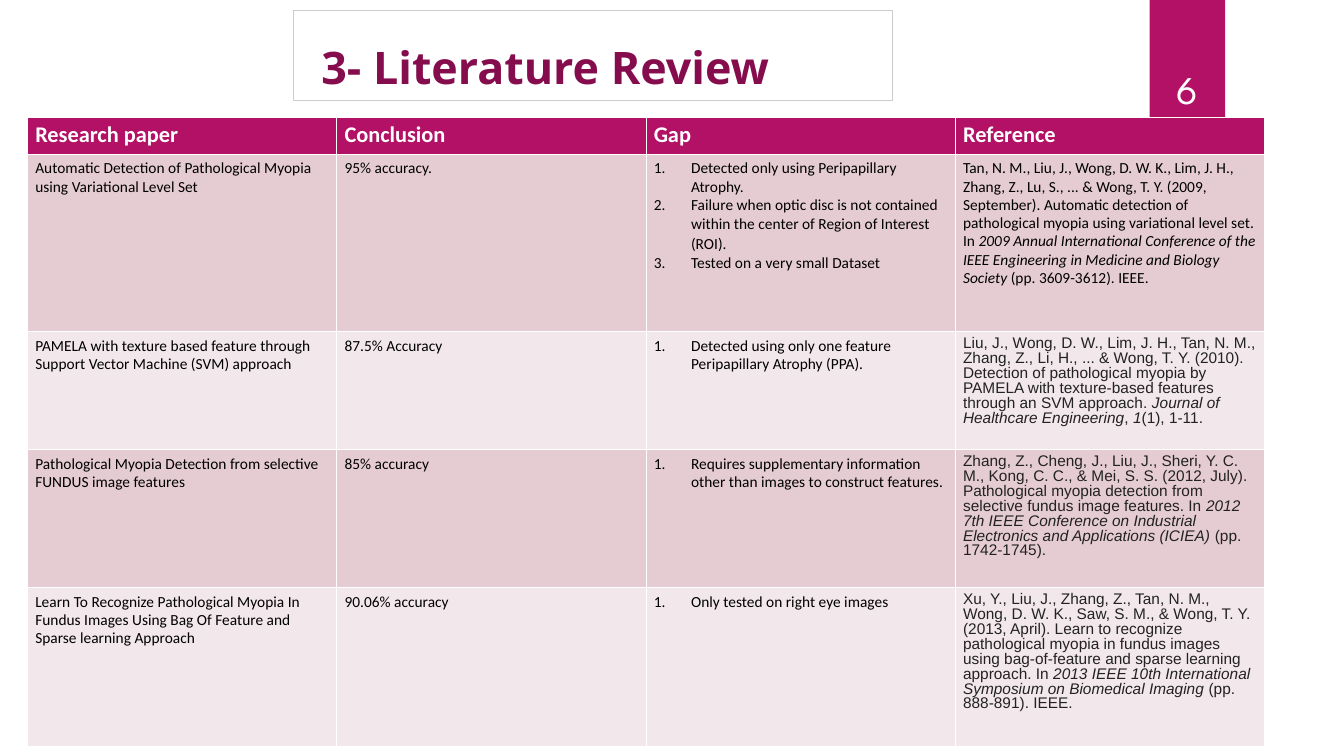
from lxml.etree import SubElement
from pptx import Presentation
from pptx.dml.color import RGBColor
from pptx.enum.shapes import MSO_SHAPE as Shape
from pptx.enum.text import MSO_ANCHOR as Anchor, MSO_AUTO_SIZE as AutoSize, PP_ALIGN as Align
from pptx.oxml.ns import qn
from pptx.util import Inches, Pt

TITLE = "3- Literature Review"
SLIDE_NUMBER = "6"
HEADINGS = ["Research paper", "Conclusion", "Gap", "Reference"]
STUDIES = [
    {
        "paper": ["Automatic Detection of Pathological Myopia using Variational Level Set"],
        "conclusion": "95% accuracy.",
        "gaps": [
            "Detected only using Peripapillary Atrophy.",
            "Failure when optic disc is not contained within the center of Region of Interest (ROI).",
            "Tested on a very small Dataset",
        ],
        "reference": [
            "Tan, N. M., Liu, J., Wong, D. W. K., Lim, J. H., Zhang, Z., Lu, S., ... & Wong, T. Y. "
            "(2009, September). Automatic detection of pathological myopia using variational level set. In ",
            "2009 Annual International Conference of the IEEE Engineering in Medicine and Biology Society",
            " (pp. 3609-3612). IEEE.",
        ],
    },
    {
        "paper": ["PAMELA with texture based feature through", "Support Vector Machine (SVM) approach"],
        "conclusion": "87.5% Accuracy",
        "gaps": ["Detected using only one feature Peripapillary Atrophy (PPA)."],
        "reference": [
            "Liu, J., Wong, D. W., Lim, J. H., Tan, N. M., Zhang, Z., Li, H., ... & Wong, T. Y. (2010). "
            "Detection of pathological myopia by PAMELA with texture-based features through an SVM approach. ",
            "Journal of Healthcare Engineering",
            ", ",
            "1",
            "(1), 1-11.",
        ],
    },
    {
        "paper": ["Pathological Myopia Detection from selective FUNDUS image features"],
        "conclusion": "85% accuracy",
        "gaps": ["Requires supplementary information other than images to construct features."],
        "reference": [
            "Zhang, Z., Cheng, J., Liu, J., Sheri, Y. C. M., Kong, C. C., & Mei, S. S. (2012, July). "
            "Pathological myopia detection from selective fundus image features. In ",
            "2012 7th IEEE Conference on Industrial Electronics and Applications (ICIEA)",
            " (pp. 1742-1745).",
        ],
    },
    {
        "paper": ["Learn To Recognize Pathological Myopia In Fundus Images Using Bag Of Feature "
                  "and Sparse learning Approach"],
        "conclusion": "90.06% accuracy",
        "gaps": ["Only tested on right eye images"],
        "reference": [
            "Xu, Y., Liu, J., Zhang, Z., Tan, N. M., Wong, D. W. K., Saw, S. M., & Wong, T. Y. (2013, April). "
            "Learn to recognize pathological myopia in fundus images using bag-of-feature and sparse "
            "learning approach. In ",
            "2013 IEEE 10th International Symposium on Biomedical Imaging",
            " (pp. 888-891). IEEE.",
        ],
    },
]
ROW_HEIGHTS = [0.37, 1.76, 1.17, 1.37, 1.57]
COLUMN_WIDTH = 3.07


class Theme:
    accent = "B31166"
    title = "860D4D"
    frame = "CCCCCC"
    bands = ["E5CCD3", "F2E7EA"]
    white = "FFFFFF"
    black = "000000"
    citation = "222222"
    body_font = "Calibri"
    citation_font = "Arial"
    title_font = "Noto Sans"
    number_font = "League Spartan"
    title_size = 32
    number_size = 28
    heading_size = 16
    body_size = 11


def color(value):
    return RGBColor.from_string(value)


def write(frame, paragraphs, font=Theme.body_font, size=Theme.body_size, ink=Theme.black,
          bold=False, align=Align.LEFT, spacing=(0.96, 1.01), numbered=False):
    for index, runs in enumerate(paragraphs):
        paragraph = frame.add_paragraph() if index else frame.paragraphs[0]
        paragraph.alignment = align
        paragraph.line_spacing = spacing[min(index, 1)]
        if numbered:
            properties = paragraph._p.get_or_add_pPr()
            properties.set("marL", str(Inches(0.37)))
            properties.set("indent", str(-Inches(0.37)))
            SubElement(properties, qn("a:buFont"), typeface="+mj-lt")
            SubElement(properties, qn("a:buAutoNum"), type="arabicPeriod")
        for position, text in enumerate([runs] if isinstance(runs, str) else runs):
            run = paragraph.add_run()
            run.text = text
            run.font.name = font
            run.font.size = Pt(size)
            run.font.bold = bold
            run.font.italic = position % 2 == 1
            run.font.color.rgb = color(ink)


def style_cell(cell, fill):
    cell.margin_left = cell.margin_right = Inches(0.08)
    cell.margin_top = cell.margin_bottom = Inches(0.05)
    properties = cell._tc.get_or_add_tcPr()
    for side in ("lnL", "lnR", "lnT", "lnB"):
        line = SubElement(properties, qn(f"a:{side}"), w=str(Pt(0.11)))
        solid = SubElement(line, qn("a:solidFill"))
        SubElement(solid, qn("a:srgbClr"), val=Theme.white)
    cell.fill.solid()
    cell.fill.fore_color.rgb = color(fill)


def add_title(slide):
    title = slide.shapes.title
    title.left, title.top, title.width, title.height = map(Inches, (2.91, 0.1, 5.95, 0.9))
    title.line.color.rgb = color(Theme.frame)
    title.line.width = Pt(0.75)
    frame = title.text_frame
    frame.auto_size = AutoSize.NONE
    frame.vertical_anchor = Anchor.TOP
    frame.margin_left, frame.margin_top, frame.margin_bottom = Inches(0.28), Inches(0.29), 0
    write(frame, [TITLE], font=Theme.title_font, size=Theme.title_size, ink=Theme.title,
          bold=True, spacing=(1.0, 1.0))


def add_page_number(slide):
    bar = slide.shapes.add_shape(Shape.RECTANGLE, Inches(11.41), 0, Inches(0.75), Inches(1.25))
    bar.shadow.inherit = False
    bar.fill.solid()
    bar.fill.fore_color.rgb = color(Theme.accent)
    bar.line.fill.background()
    box = slide.shapes.add_textbox(Inches(11.32), Inches(0.32), Inches(0.92), Inches(0.84))
    frame = box.text_frame
    frame.word_wrap = True
    frame.vertical_anchor = Anchor.BOTTOM
    write(frame, [SLIDE_NUMBER], font=Theme.number_font, size=Theme.number_size,
          ink=Theme.white, align=Align.CENTER, spacing=(1.0, 1.0))


def add_review_table(slide):
    table = slide.shapes.add_table(
        len(STUDIES) + 1, len(HEADINGS), Inches(0.27), Inches(1.16),
        Inches(COLUMN_WIDTH * len(HEADINGS)), Inches(sum(ROW_HEIGHTS))).table
    for column in table.columns:
        column.width = Inches(COLUMN_WIDTH)
    for row, height in zip(table.rows, ROW_HEIGHTS):
        row.height = Inches(height)
    for cell, heading in zip(table.rows[0].cells, HEADINGS):
        style_cell(cell, Theme.accent)
        write(cell.text_frame, [heading], size=Theme.heading_size, ink=Theme.white, bold=True)
    for index, study in enumerate(STUDIES):
        cells = list(table.rows[index + 1].cells)
        for cell in cells:
            style_cell(cell, Theme.bands[index % 2])
        paper, conclusion, gap, reference = [cell.text_frame for cell in cells]
        write(paper, study["paper"])
        write(conclusion, [study["conclusion"]])
        write(gap, study["gaps"], numbered=True)
        citation = {"font": Theme.citation_font, "ink": Theme.citation, "spacing": (0.87, 0.87)}
        write(reference, [study["reference"]], **(citation if index else {}))


def main():
    presentation = Presentation()
    presentation.slide_width, presentation.slide_height = Inches(13.34), Inches(7.5)
    slide = presentation.slides.add_slide(presentation.slide_layouts[5])
    add_title(slide)
    add_page_number(slide)
    add_review_table(slide)
    presentation.save("out.pptx")


if __name__ == "__main__":
    main()
